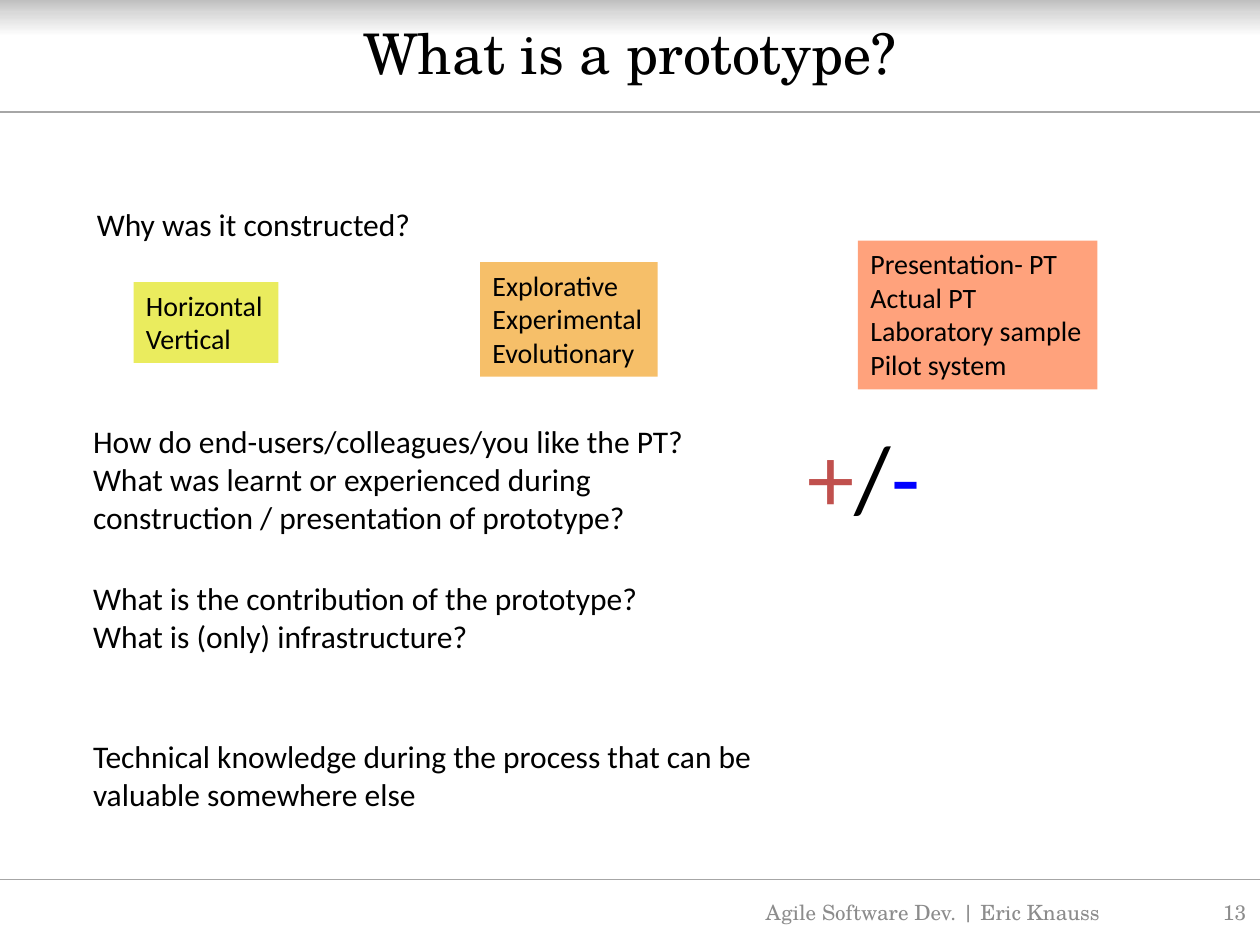
import copy
from dataclasses import dataclass

import pptx
import pptx.dml.color
import pptx.enum.shapes
import pptx.enum.text
import pptx.oxml
import pptx.oxml.ns
import pptx.presentation
import pptx.slide
import pptx.util

Inches = pptx.util.Inches
Align = pptx.enum.text.PP_ALIGN
Anchor = pptx.enum.text.MSO_ANCHOR
AutoSize = pptx.enum.text.MSO_AUTO_SIZE


@dataclass(frozen=True)
class Theme:
    heading_font: str = "TeX Gyre Schola"
    body_font: str = "Calibri"
    text: str = "000000"
    footer: str = "8C8C8C"
    rule: str = "A6A6A6"
    plus: str = "C0504D"
    minus: str = "0000FF"
    coral: str = "FFA27C"
    amber: str = "F6BF69"
    lime: str = "EAEC5E"
    band: tuple = ((0, "BFBFBF"), (0.34, "D9D9D9"), (1, "FFFFFF"))
    title_size: int = 32
    question_size: int = 18
    category_size: int = 16
    sign_size: int = 54
    footer_size: int = 12
    rule_width: float = 0.75


THEME = Theme()


@dataclass(frozen=True)
class TextBlock:
    left: float
    top: float
    width: float
    height: float
    lines: tuple[str, ...]
    size: int = THEME.question_size
    wrap: bool = False
    fill: str | None = None
    font: str = THEME.body_font
    color: str = THEME.text
    align: Align = Align.LEFT
    anchor: Anchor = Anchor.TOP
    auto_size: AutoSize = AutoSize.SHAPE_TO_FIT_TEXT


@dataclass(frozen=True)
class HeadingBlock(TextBlock):
    wrap: bool = True
    font: str = THEME.heading_font
    align: Align = Align.CENTER
    anchor: Anchor = Anchor.MIDDLE
    auto_size: AutoSize = AutoSize.NONE


TITLE = HeadingBlock(0.5, 0.03, 9, 0.77, ("What is a prototype?",), THEME.title_size)
QUESTIONS = (
    TextBlock(0.67, 1.58, 2.73, 0.4, ("Why was it constructed?",)),
    TextBlock(0.64, 3.3, 5.54, 1.01, (
        "How do end-users/colleagues/you like the PT?",
        "What was learnt or experienced during construction / presentation of prototype?",
    ), wrap=True),
    TextBlock(0.64, 4.55, 4.58, 0.7, (
        "What is the contribution of the prototype?",
        "What is (only) infrastructure?",
    )),
    TextBlock(0.64, 5.8, 5.46, 0.7, (
        "Technical knowledge during the process that can be valuable somewhere else",
    ), wrap=True),
)
CATEGORIES = (
    TextBlock(6.81, 1.91, 1.9, 1.18,
              ("Presentation- PT", "Actual PT", "Laboratory sample", "Pilot system"),
              THEME.category_size, fill=THEME.coral),
    TextBlock(3.81, 2.08, 1.41, 0.91, ("Explorative", "Experimental", "Evolutionary"),
              THEME.category_size, fill=THEME.amber),
    TextBlock(1.06, 2.24, 1.15, 0.64, ("Horizontal", "Vertical"),
              THEME.category_size, fill=THEME.lime),
)
SIGNS = TextBlock(6.31, 3.27, 1.11, 1.01, ("",), THEME.sign_size)
SIGN_RUNS = (("+", THEME.plus), ("/", THEME.text), ("-", THEME.minus))
FOOTERS = (
    HeadingBlock(5.82, 7.04, 3.17, 0.4, ("Agile Software Dev. | Eric Knauss",),
                 THEME.footer_size, color=THEME.footer),
    HeadingBlock(9.07, 7.04, 0.92, 0.4, ("13",), THEME.footer_size,
                 color=THEME.footer, align=Align.RIGHT),
)
RULE_HEIGHTS = (6.98, 0.89)


def rgb(value: str) -> pptx.dml.color.RGBColor:
    """Return the colour for a hexadecimal value."""
    return pptx.dml.color.RGBColor.from_string(value)


def format_run(run, block: TextBlock, color: str) -> None:
    """Apply a block's font and the given colour to a run."""
    run.font.name = block.font
    run.font.size = pptx.util.Pt(block.size)
    run.font.color.rgb = rgb(color)


def draw_text(slide: pptx.slide.Slide, block: TextBlock):
    """Draw a text block and return its shape."""
    shape = slide.shapes.add_textbox(
        Inches(block.left), Inches(block.top), Inches(block.width), Inches(block.height))
    if block.fill:
        shape.fill.solid()
        shape.fill.fore_color.rgb = rgb(block.fill)
    frame = shape.text_frame
    frame.text = "\n".join(block.lines)
    frame.word_wrap = block.wrap
    frame.auto_size = block.auto_size
    frame.vertical_anchor = block.anchor
    for paragraph in frame.paragraphs:
        paragraph.alignment = block.align
        for run in paragraph.runs:
            format_run(run, block, block.color)
    return shape


def draw_signs(slide: pptx.slide.Slide) -> None:
    """Draw the plus and minus signs in their own colours."""
    paragraph = draw_text(slide, SIGNS).text_frame.paragraphs[0]
    for sign, color in SIGN_RUNS:
        run = paragraph.add_run()
        run.text = sign
        format_run(run, SIGNS, color)


def draw_band(slide: pptx.slide.Slide) -> None:
    """Draw the grey gradient band along the top edge."""
    band = slide.shapes.add_shape(
        pptx.enum.shapes.MSO_SHAPE.RECTANGLE, 0, 0, Inches(10), Inches(0.29))
    band.shadow.inherit = False
    band.line.fill.background()
    band.fill.gradient()
    band.fill.gradient_angle = 270
    stop_list = band._element.xpath("./p:spPr/a:gradFill/a:gsLst")[0]
    stop_list.append(copy.deepcopy(stop_list[-1]))
    for stop, (position, color) in zip(band.fill.gradient_stops, THEME.band):
        stop.position = position
        stop.color.rgb = rgb(color)


def draw_rule(slide: pptx.slide.Slide, height: float) -> None:
    """Draw a thin rule across the slide."""
    rule = slide.shapes.add_connector(
        pptx.enum.shapes.MSO_CONNECTOR.STRAIGHT,
        0, Inches(height), Inches(10), Inches(height))
    rule.line.color.rgb = rgb(THEME.rule)
    rule.line.width = pptx.util.Pt(THEME.rule_width)
    rule._element.spPr.append(
        pptx.oxml.parse_xml(f"<a:effectLst {pptx.oxml.ns.nsdecls('a')}/>"))


def build_presentation() -> pptx.presentation.Presentation:
    """Build the presentation with its single slide."""
    presentation = pptx.Presentation()
    presentation.slide_width = Inches(10)
    presentation.slide_height = Inches(7.5)
    slide = presentation.slides.add_slide(presentation.slide_layouts[6])
    draw_band(slide)
    for height in RULE_HEIGHTS:
        draw_rule(slide, height)
    for block in (TITLE, *QUESTIONS, *CATEGORIES):
        draw_text(slide, block)
    draw_signs(slide)
    for block in FOOTERS:
        draw_text(slide, block)
    return presentation


if __name__ == "__main__":
    build_presentation().save("out.pptx")
